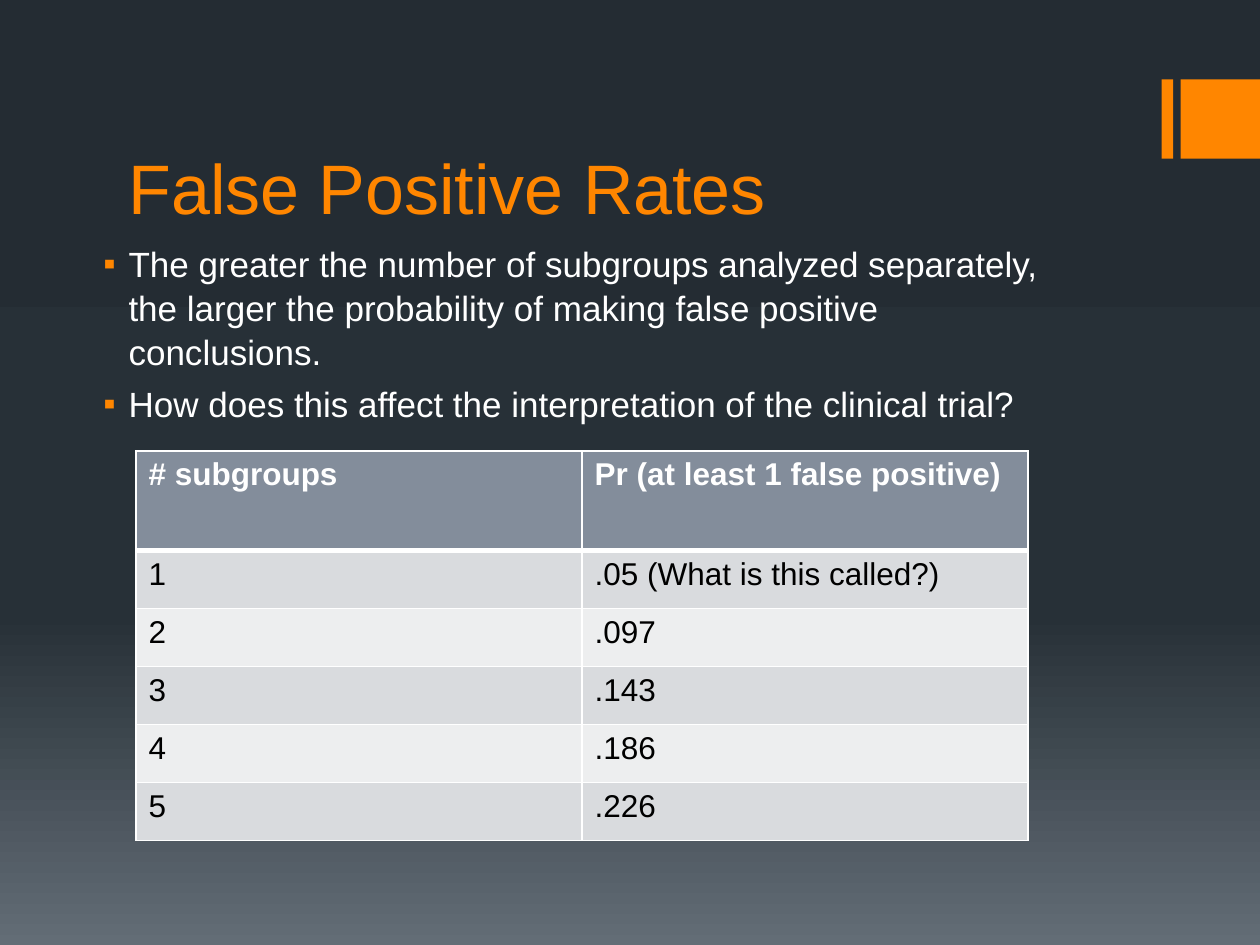
import copy
import dataclasses

import lxml.etree
import pptx
import pptx.dml.color
import pptx.enum.dml
import pptx.enum.shapes
import pptx.enum.text
import pptx.oxml.ns
import pptx.util


@dataclasses.dataclass(frozen=True)
class Theme:
    font: str = "Arial"
    accent: str = "FF8600"
    light: str = "FFFFFF"
    dark: str = "000000"
    header: str = "838D9B"
    bands: tuple = ("D9DBDE", "EDEEEF")
    backdrop: tuple = ((0, "242C33"), (0.65, "273037"), (1, "636D76"))
    title_size: int = 40
    body_size: int = 20
    table_size: int = 18


THEME = Theme()
BULLETS = (
    "The greater the number of subgroups analyzed separately, the larger "
    "the probability of making false positive conclusions.",
    "How does this affect the interpretation of the clinical trial?",
)
ROWS = (
    ("# subgroups", "Pr (at least 1 false positive)"),
    ("1", ".05 (What is this called?)"),
    ("2", ".097"),
    ("3", ".143"),
    ("4", ".186"),
    ("5", ".226"),
)
HEADER_HEIGHT, ROW_HEIGHT = 0.79, 0.46


def rgb(color):
    return pptx.dml.color.RGBColor.from_string(color)


def inches(*values):
    return [pptx.util.Inches(v) for v in values]


def child(parent, tag, **attrs):
    return lxml.etree.SubElement(parent, pptx.oxml.ns.qn(tag), attrs)


def style(p, size, color, bold=False):
    for r in p.runs:
        r.font.name = THEME.font
        r.font.size = pptx.util.Pt(size)
        r.font.bold = bold
        r.font.color.rgb = rgb(color)


def place(sp, box):
    sp.left, sp.top, sp.width, sp.height = inches(*box)
    sp.text_frame.auto_size = pptx.enum.text.MSO_AUTO_SIZE.NONE
    return sp.text_frame


def paint_background(slide):
    fill = slide.background.fill
    fill.gradient()
    fill.gradient_angle = 270
    stops = slide.element.find(".//" + pptx.oxml.ns.qn("a:gsLst"))
    stops.insert(1, copy.deepcopy(stops[0]))
    for stop, (position, color) in zip(fill.gradient_stops, THEME.backdrop):
        stop.position = position
        stop.color.rgb = rgb(color)


def add_corner_mark(slide, box):
    left, top, width, height = box
    bar = 0.09
    for x, w in ((left, bar), (left + width - height, height)):
        sp = slide.shapes.add_shape(
            pptx.enum.shapes.MSO_SHAPE.RECTANGLE, *inches(x, top, w, height))
        sp.shadow.inherit = False
        sp.fill.solid()
        sp.fill.fore_color.rgb = rgb(THEME.accent)
        sp.line.fill.background()


def fill_title(slide, box, text):
    tf = place(slide.shapes.title, box)
    tf.vertical_anchor = pptx.enum.text.MSO_ANCHOR.BOTTOM
    tf.text = text
    p = tf.paragraphs[0]
    p.alignment = pptx.enum.text.PP_ALIGN.LEFT
    style(p, THEME.title_size, THEME.accent)


def fill_body(slide, box, items):
    tf = place(slide.placeholders[1], box)
    tf.text = "\n".join(items)
    for p in tf.paragraphs:
        p.line_spacing = 1.05
        p.space_before = pptx.util.Pt(0.2 * THEME.body_size)
        style(p, THEME.body_size, THEME.light)
        pPr = p._p.get_or_add_pPr()
        pPr.set("marL", str(pptx.util.Inches(0.25)))
        pPr.set("indent", str(pptx.util.Inches(-0.2)))
        child(child(pPr, "a:buClr"), "a:srgbClr", val=THEME.accent)
        child(pPr, "a:buFont", typeface=THEME.font)
        child(pPr, "a:buChar", char="▪")


def format_cell(cell, text, fill, color, bold, bottom):
    cell.text = text
    style(cell.text_frame.paragraphs[0], THEME.table_size, color, bold)
    tcPr = cell._tc.get_or_add_tcPr()
    for side, width in (("L", 1), ("R", 1), ("T", 1), ("B", bottom)):
        ln = child(tcPr, "a:ln" + side, w=str(pptx.util.Pt(width)))
        child(child(ln, "a:solidFill"), "a:srgbClr", val=THEME.light)
    cell.fill.solid()
    cell.fill.fore_color.rgb = rgb(fill)


def add_rates_table(slide, box, rows):
    table = slide.shapes.add_table(len(rows), len(rows[0]), *inches(*box)).table
    for i, values in enumerate(rows):
        head = i == 0
        table.rows[i].height = pptx.util.Inches(HEADER_HEIGHT if head else ROW_HEIGHT)
        fill = THEME.header if head else THEME.bands[(i - 1) % 2]
        color = THEME.light if head else THEME.dark
        for j, text in enumerate(values):
            format_cell(table.cell(i, j), text, fill, color, head, 3 if head else 1)


def main():
    prs = pptx.Presentation()
    prs.slide_width, prs.slide_height = inches(10, 7.5)
    slide = prs.slides.add_slide(prs.slide_layouts[1])
    paint_background(slide)
    add_corner_mark(slide, (9.22, 0.63, 0.78, 0.63))
    fill_title(slide, (0.92, 0.6, 8, 1.26), "False Positive Rates")
    fill_body(slide, (0.67, 1.86, 8, 3.87), BULLETS)
    add_rates_table(slide, (1.08, 3.58, 7.08, 3.08), ROWS)
    prs.save("out.pptx")


if __name__ == "__main__":
    main()
